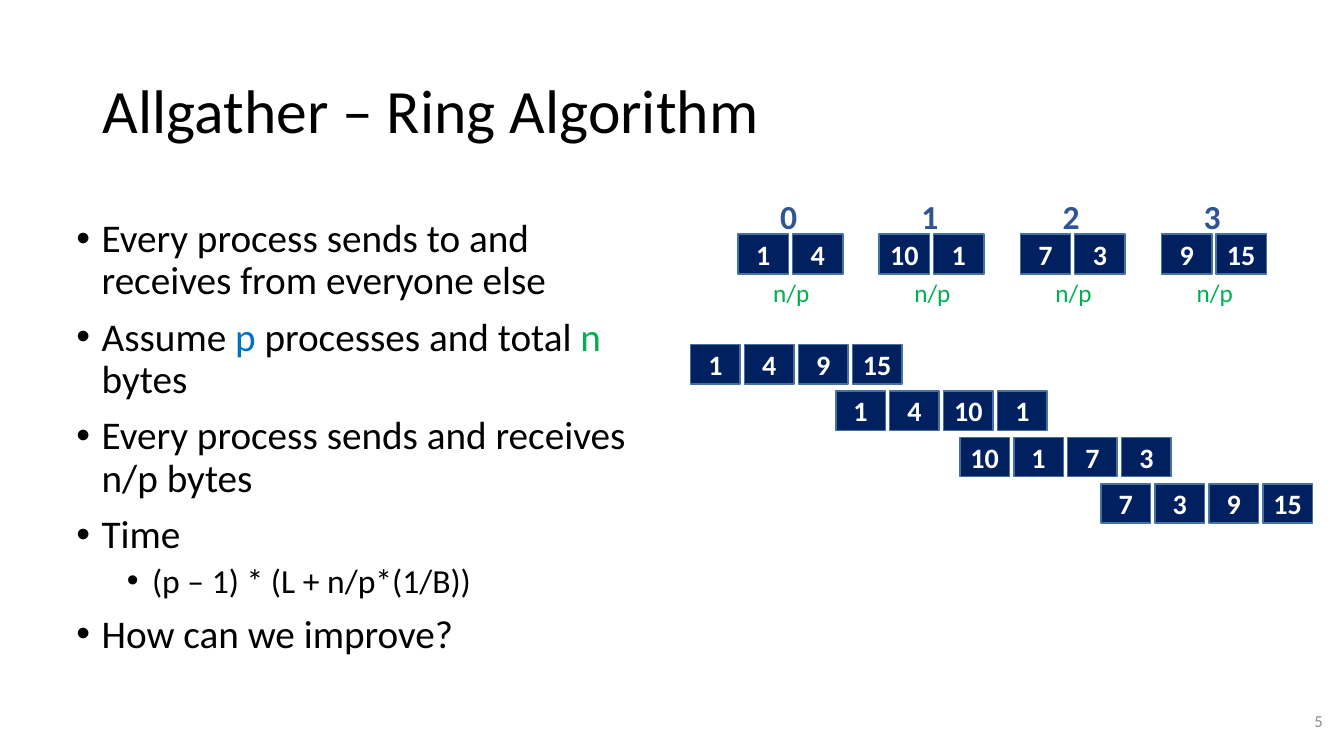
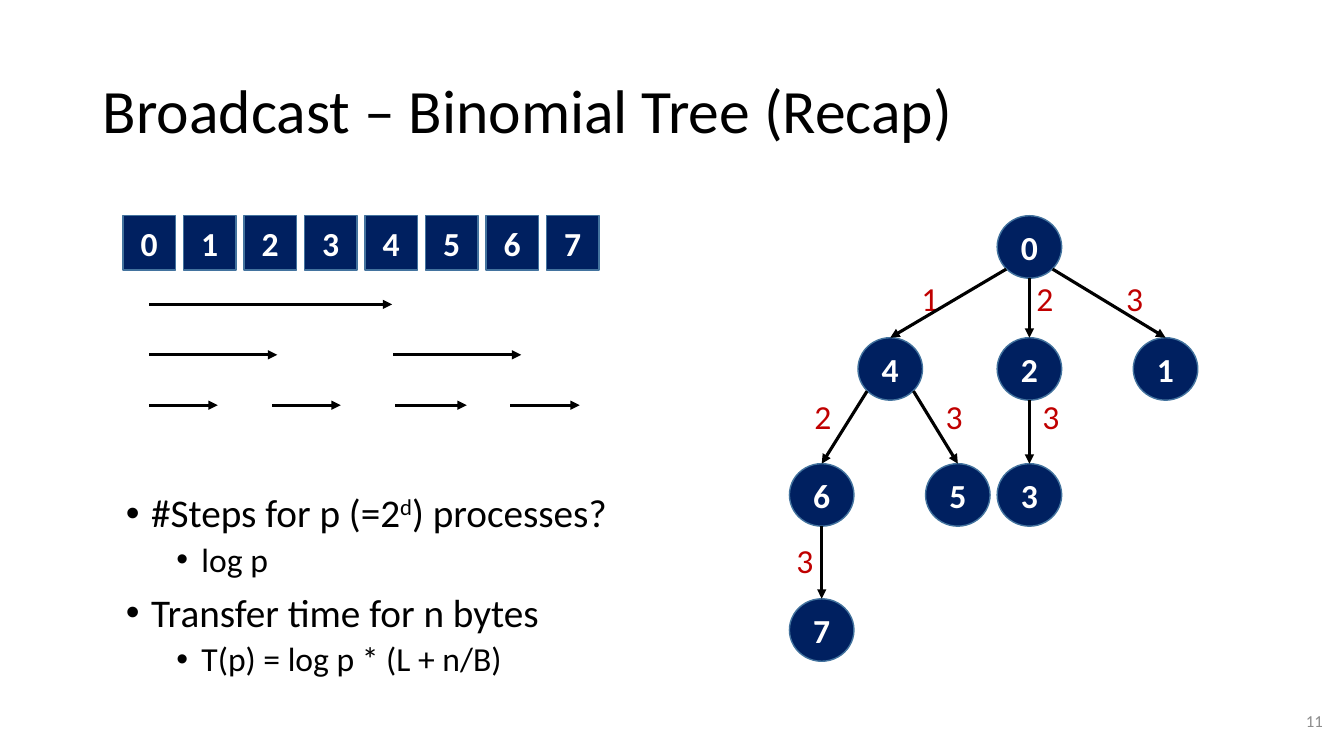
from lxml import etree
from pptx import Presentation
from pptx.dml.color import RGBColor
from pptx.enum.shapes import MSO_CONNECTOR as Connector, MSO_SHAPE as Preset
from pptx.enum.text import MSO_ANCHOR as Anchor, PP_ALIGN as Align
from pptx.oxml.ns import qn
from pptx.util import Inches, Pt

BLACK = RGBColor(0x00, 0x00, 0x00)
WHITE = RGBColor(0xFF, 0xFF, 0xFF)
NAVY = RGBColor(0x00, 0x20, 0x60)
OUTLINE = RGBColor(0x43, 0x73, 0x9E)
BLUE = RGBColor(0x00, 0x70, 0xC0)
LABEL_BLUE = RGBColor(0x2F, 0x55, 0x97)
GREEN = RGBColor(0x00, 0xB0, 0x50)
RED = RGBColor(0xC0, 0x00, 0x00)
GRAY = RGBColor(0x8C, 0x8C, 0x8C)
FONT = "Calibri"


def add_text(slide, text, left, top, width, height, size, color, bold=False):
    shape = slide.shapes.add_textbox(Inches(left), Inches(top), Inches(width), Inches(height))
    shape.text_frame.word_wrap = False
    paragraph = shape.text_frame.paragraphs[0]
    paragraph.text = text
    paragraph.font.name = FONT
    paragraph.font.size = Pt(size)
    paragraph.font.bold = bold
    paragraph.font.color.rgb = color
    return shape


def add_node(slide, preset, text, left, top, width, height, size):
    shape = slide.shapes.add_shape(preset, Inches(left), Inches(top), Inches(width), Inches(height))
    shape.shadow.inherit = False
    shape.fill.solid()
    shape.fill.fore_color.rgb = NAVY
    shape.line.color.rgb = OUTLINE
    shape.line.width = Pt(1)
    shape.text_frame.vertical_anchor = Anchor.MIDDLE
    paragraph = shape.text_frame.paragraphs[0]
    paragraph.text = str(text)
    paragraph.alignment = Align.CENTER
    paragraph.font.name = FONT
    paragraph.font.size = Pt(size)
    paragraph.font.bold = True
    paragraph.font.color.rgb = WHITE
    return shape


presentation = Presentation()
presentation.slide_width = Inches(13.33)
presentation.slide_height = Inches(7.5)

LEVELS = [(28, 0.25, 10), (24, 0.75, 5)]
PLAIN, SUPERSCRIPT = "0", "30000"
outlines = [
    ("Allgather – Ring Algorithm", "5", (0.66, 2.12, 6.01, 4.72), [
        (0, [("Every process sends to and receives from everyone else", BLACK, PLAIN)]),
        (0, [("Assume ", BLACK, PLAIN), ("p", BLUE, PLAIN),
             (" processes and total ", BLACK, PLAIN), ("n", GREEN, PLAIN),
             (" bytes", BLACK, PLAIN)]),
        (0, [("Every process sends and receives n/p bytes", BLACK, PLAIN)]),
        (0, [("Time", BLACK, PLAIN)]),
        (1, [("(p – 1) * (L + n/p*(1/B))", BLACK, PLAIN)]),
        (0, [("How can we improve?", BLACK, PLAIN)]),
    ]),
    ("Broadcast – Binomial Tree (Recap)", "11", (1.15, 4.85, 5.51, 1.99), [
        (0, [("#Steps for p (=2", BLACK, PLAIN), ("d", BLACK, SUPERSCRIPT),
             (") processes?", BLACK, PLAIN)]),
        (1, [("log p", BLACK, PLAIN)]),
        (0, [("Transfer time for n bytes", BLACK, PLAIN)]),
        (1, [("T(p) = log p * (L + n/B)", BLACK, PLAIN)]),
    ]),
]

for title_text, number_text, body_box, bullets in outlines:
    slide = presentation.slides.add_slide(presentation.slide_layouts[5])
    title = slide.shapes.title
    title.left, title.top = Inches(0.92), Inches(0.4)
    title.width, title.height = Inches(11.5), Inches(1.45)
    title.text_frame.vertical_anchor = Anchor.MIDDLE
    paragraph = title.text_frame.paragraphs[0]
    paragraph.text = title_text
    paragraph.alignment = Align.LEFT
    paragraph.line_spacing = 0.9
    paragraph.font.name = FONT
    paragraph.font.size = Pt(44)
    paragraph.font.color.rgb = BLACK

    body = slide.shapes.add_textbox(*[Inches(length) for length in body_box])
    body.text_frame.word_wrap = True
    for index, (level, runs) in enumerate(bullets):
        size, margin, space = LEVELS[level]
        paragraph = body.text_frame.paragraphs[0] if index == 0 else body.text_frame.add_paragraph()
        paragraph.level = level
        properties = paragraph._p.get_or_add_pPr()
        properties.set("marL", str(Inches(margin)))
        properties.set("indent", str(Inches(-0.25)))
        etree.SubElement(properties, qn("a:buFont")).set("typeface", "Arial")
        etree.SubElement(properties, qn("a:buChar")).set("char", "•")
        paragraph.line_spacing = 0.9
        paragraph.space_before = Pt(space)
        paragraph.font.name = FONT
        paragraph.font.size = Pt(size)
        for text, color, baseline in runs:
            run = paragraph.add_run()
            run.text = text
            run.font.color.rgb = color
            if baseline != PLAIN:
                run._r.get_or_add_rPr().set("baseline", baseline)

    number = add_text(slide, number_text, 10.22, 6.95, 3, 0.4, 12, GRAY)
    number.text_frame.word_wrap = True
    number.text_frame.vertical_anchor = Anchor.MIDDLE
    number.text_frame.paragraphs[0].alignment = Align.RIGHT

ring_slide, tree_slide = presentation.slides

blocks = [(1, 4), (10, 1), (7, 3), (9, 15)]
gathered_lefts = [6.85, 8.29, 9.52, 10.92]
for rank, block in enumerate(blocks):
    left = 7.32 + 1.4 * rank
    for column, value in enumerate(block):
        add_node(ring_slide, Preset.RECTANGLE, value, left + 0.54 * column, 2.32, 0.5, 0.4, 20)
    add_text(ring_slide, str(rank), left + 0.32, 1.89, 0.37, 0.5, 24, LABEL_BLUE, True)
    add_text(ring_slide, "n/p", left + 0.25, 2.7, 0.57, 0.4, 18, GREEN)

    first, second = sorted([rank, (rank - 1) % len(blocks)])
    for column, value in enumerate(blocks[first] + blocks[second]):
        add_node(ring_slide, Preset.RECTANGLE, value, gathered_lefts[rank] + 0.535 * column,
                 3.42 + 0.46 * rank, 0.49, 0.39, 20)

for rank in range(8):
    add_node(tree_slide, Preset.RECTANGLE, rank, 1.22 + 0.6 * rank, 2.14, 0.52, 0.54, 24)

NODE_WIDTH, NODE_HEIGHT = 0.64, 0.62
node_places = {
    0: (9.89, 2.14), 4: (8.51, 3.35), 2: (9.89, 3.35), 1: (11.24, 3.35),
    6: (7.83, 4.6), 5: (9.18, 4.6), 3: (9.89, 4.6), 7: (7.83, 5.94),
}
nodes = {
    rank: add_node(tree_slide, Preset.OVAL, rank, left, top, NODE_WIDTH, NODE_HEIGHT, 24)
    for rank, (left, top) in node_places.items()
}

step_spans = [
    [(1.48, 3.89)],
    [(1.48, 2.75), (3.9, 5.17)],
    [(1.48, 2.16), (2.7, 3.38), (3.92, 4.63), (5.06, 5.75)],
]
arrows = []
for step, spans in enumerate(step_spans):
    top = 3.02 + 0.5 * step
    arrows += [(start, top, end, top, None) for start, end in spans]

edges = [
    (0, 4, "1", 9.04, 2.71), (0, 2, "2", 10.18, 2.71), (0, 1, "3", 11.07, 2.71),
    (4, 6, "2", 7.98, 3.88), (4, 5, "3", 9.28, 3.88), (2, 3, "3", 10.24, 3.88),
    (6, 7, "3", 7.8, 5.31),
]
for parent, child, step, label_left, label_top in edges:
    parent_left, parent_top = node_places[parent]
    child_left, child_top = node_places[child]
    side = (child_left > parent_left) - (child_left < parent_left)
    start_x = parent_left + NODE_WIDTH / 2 + 0.23 * side
    start_y = parent_top + (0.53 if side else NODE_HEIGHT)
    arrows.append((start_x, start_y, child_left + NODE_WIDTH / 2, child_top, nodes[child]))
    add_text(tree_slide, step, label_left, label_top, 0.37, 0.5, 24, RED)

for start_x, start_y, end_x, end_y, target in arrows:
    arrow = tree_slide.shapes.add_connector(
        Connector.STRAIGHT, Inches(start_x), Inches(start_y), Inches(end_x), Inches(end_y))
    if target is not None:
        arrow.end_connect(target, 0)
    arrow.line.color.rgb = BLACK
    arrow.line.width = Pt(2.25)
    etree.SubElement(arrow.line._get_or_add_ln(), qn("a:tailEnd")).set("type", "triangle")
    etree.SubElement(arrow._element.spPr, qn("a:effectLst"))

presentation.save("out.pptx")
